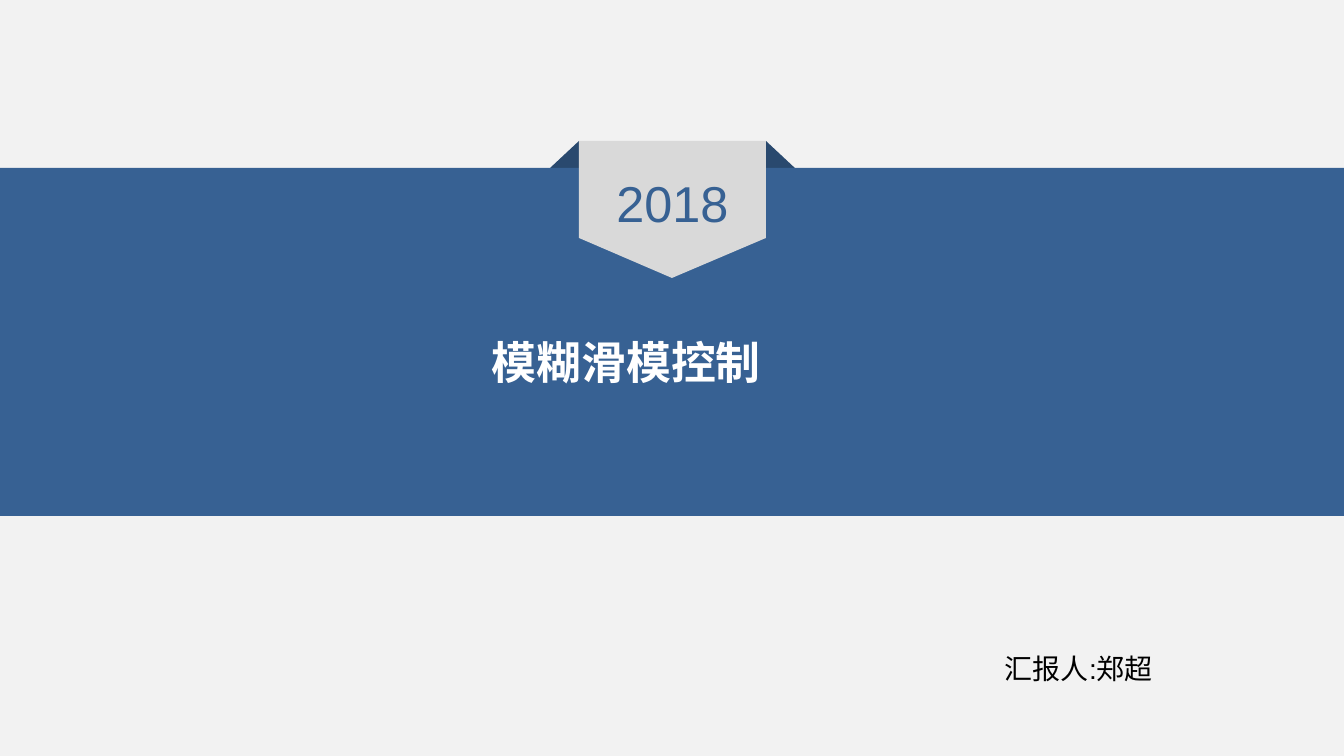
from pptx import Presentation
from pptx import util as u
from pptx.dml.color import RGBColor
from pptx.enum import shapes, text

PX = 12192000 / 1344
BLUE, NAVY, SILVER = "376193", "29496E", "D9D9D9"


def px(length):
    return u.Emu(round(length * PX))


def paint(fill, color):
    fill.solid()
    fill.fore_color.rgb = RGBColor.from_string(color)


def finish(shape, color):
    paint(shape.fill, color)
    shape.line.fill.background()
    shape.shadow.inherit = False


def outline(slide, points, color):
    builder = slide.shapes.build_freeform(*points[0], scale=PX)
    builder.add_line_segments(points[1:], close=True)
    finish(builder.convert_to_shape(), color)


def write(holder, box, wording, size, color, bold=False,
          align=text.PP_ALIGN.CENTER):
    holder.left, holder.top, holder.width, holder.height = map(px, box)
    frame = holder.text_frame
    frame.text = wording
    frame.word_wrap = False
    frame.auto_size = text.MSO_AUTO_SIZE.NONE
    frame.vertical_anchor = text.MSO_ANCHOR.MIDDLE
    frame.margin_left = frame.margin_right = 0
    paragraph = frame.paragraphs[0]
    paragraph.alignment = align
    font = paragraph.font
    font.name, font.size, font.bold = "Arial", u.Pt(size), bold
    font.color.rgb = RGBColor.from_string(color)


def add_band(slide, left, top, width, height):
    band = slide.shapes.add_shape(
        shapes.MSO_SHAPE.RECTANGLE, *map(px, (left, top, width, height)))
    finish(band, BLUE)
    title = slide.shapes.title
    slide.shapes._spTree.append(title._element)
    write(title, (left + 481, top + 161, 291, 65), "模糊滑模控制", 32, "FFFFFF", True)


def add_folds(slide, left, top, width, fold_width, fold_height):
    for edge, tip in ((left, left - fold_width),
                      (left + width, left + width + fold_width)):
        outline(slide, [(edge, top), (tip, top + fold_height),
                        (edge, top + fold_height)], NAVY)


def add_ribbon(slide, left, top, width, height):
    right, shoulder = left + width, top + height - 40
    outline(slide, [(left, top), (right, top), (right, shoulder),
                    (left + width / 2, top + height), (left, shoulder)], SILVER)
    year = slide.shapes.add_textbox(0, 0, 0, 0)
    write(year, (left, top + 25, width, 72), "2018", 36, BLUE)


def add_presenter(slide, left, top, width, height):
    presenter = slide.shapes.add_textbox(0, 0, 0, 0)
    write(presenter, (left, top, width, height), "汇报人:郑超", 20, "000000",
          align=text.PP_ALIGN.RIGHT)


def build_cover(deck):
    slide = deck.slides.add_slide(deck.slide_layouts[5])
    paint(slide.background.fill, "F2F2F2")
    add_folds(slide, 579, 141, 187, 30, 28)
    add_band(slide, 0, 168, 1344, 348)
    add_ribbon(slide, 579, 141, 187, 137)
    add_presenter(slide, 985, 646, 168, 44)


def main():
    deck = Presentation()
    deck.slide_width, deck.slide_height = px(1344), px(756)
    build_cover(deck)
    deck.save("out.pptx")


if __name__ == "__main__":
    main()
